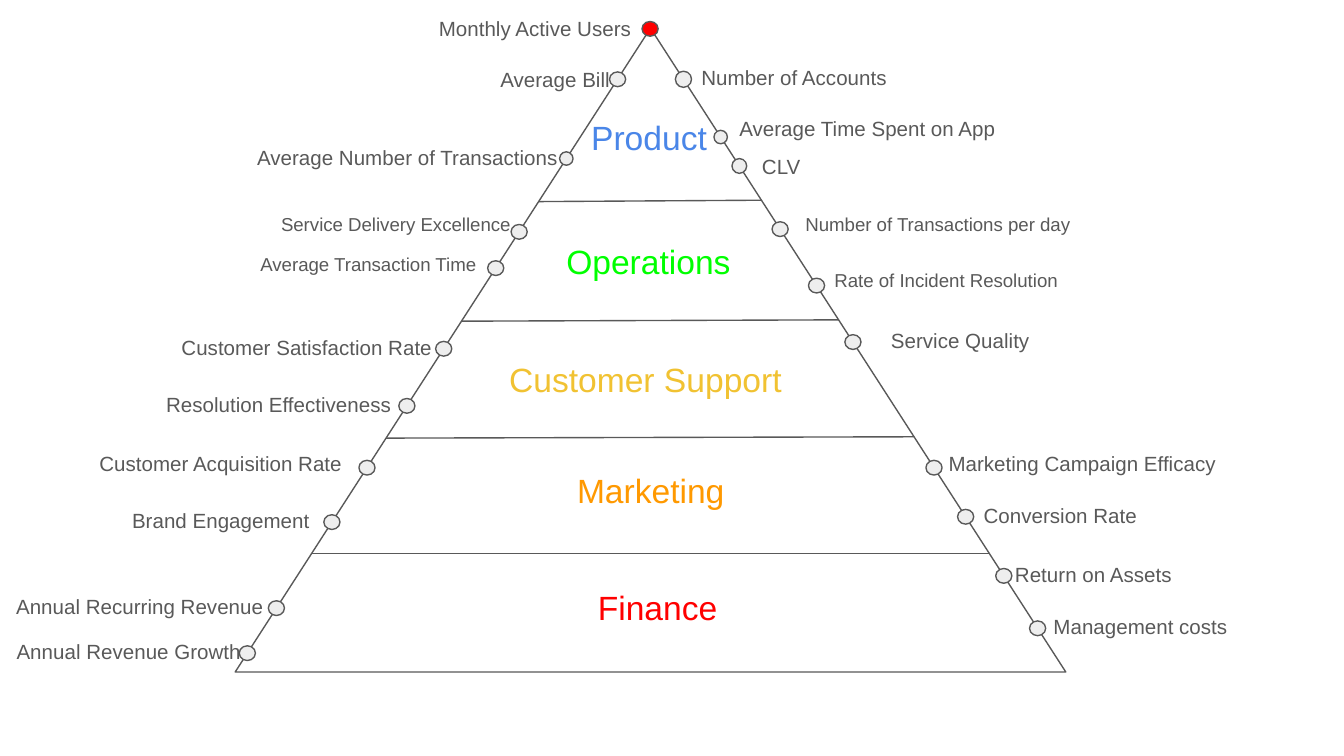
from collections import namedtuple

from lxml.etree import SubElement
from pptx import Presentation
from pptx.dml.color import RGBColor
from pptx.enum.shapes import MSO_CONNECTOR as Connector, MSO_SHAPE as Preset
from pptx.enum.text import MSO_AUTO_SIZE as AutoSize
from pptx.oxml.ns import qn
from pptx.util import Inches, Pt

COLUMNS, ROWS = 1000, 562.5
WIDTH = Inches(10)
HEIGHT = WIDTH * 9 // 16
FONT = "Arial"
COLORS = {
    "paper": "FFFFFF", "ink": "595959", "dot": "EEEEEE", "peak": "FF0000",
    "product": "4A86E8", "operations": "00FF00", "support": "F1C232",
    "marketing": "FF9900", "finance": "FF0000",
}

Box = namedtuple("Box", "left top width height")
Metric = namedtuple("Metric", "text level width gap shift dot color",
                    defaults=((12, 11), "dot"))
Band = namedtuple("Band", "name color level width offset base size left right")

BANDS = [
    Band("Product", "product", 81, 109, 0.5, (129, 128), 11,
         [Metric("Monthly Active Users", 0.5, 169, -2, 1, color="peak"),
          Metric("Average Bill", 38, 106, -9, 1),
          Metric("Average Number of Transactions", 97, 246, -6, 0.5, (10, 10))],
         [Metric("Number of Accounts", 38, 162, 3.5, -0.5, (12, 12)),
          Metric("Average Time Spent on App", 81, 429, 4, -5.5, (10, 10)),
          Metric("CLV", 102.5, 57, 7, 1, (11, 11))]),
    Band("Operations", "operations", 173, 145, 0, (218, 217), 10,
         [Metric("Service Delivery Excellence", 151.5, 212, -25, -4),
          Metric("Average Transaction Time", 178.5, 209, -24, -1)],
         [Metric("Number of Transactions per day", 149.5, 243, 9, -2),
          Metric("Rate of Incident Resolution", 191.5, 190, 3.5, -2)]),
    Band("Customer Support", "support", 261, 233, 1.5, (305, 304), 11,
         [Metric("Customer Satisfaction Rate", 238.5, 212, -7, 0),
          Metric("Resolution Effectiveness", 281, 190, -1, 0)],
         [Metric("Service Quality", 233.5, 190, 18.5, 0)]),
    Band("Marketing", "marketing", 344, 131, 1, (391, 391), 11,
         [Metric("Customer Acquisition Rate", 327, 202, 7, -2.5),
          Metric("Brand Engagement", 367.5, 152, 6.5, 0)],
         [Metric("Marketing Campaign Efficacy", 327, 304, 1, -2.5),
          Metric("Conversion Rate", 363.5, 272, 3.5, 0)]),
    Band("Finance", "finance", 431, 109, 5.5, None, 11,
         [Metric("Annual Recurring Revenue", 431.5, 209, -5.5, 0),
          Metric("Annual Revenue Growth", 465, 190, -8.5, 0)],
         [Metric("Return on Assets", 407.5, 237, -1.5, 0),
          Metric("Management costs", 446.5, 233, 2, 0)]),
]


def rgb(name):
    return RGBColor.from_string(COLORS[name])


def col(count):
    return round(WIDTH * count / COLUMNS)


def row(count):
    return round(HEIGHT * count / ROWS)


def on_page(box):
    return col(box.left), row(box.top), col(box.width), row(box.height)


def centred(x, y, width, height):
    return Box(x - width / 2, y - height / 2, width, height)


def edge(box, level, side):
    return box.left + box.width / 2 + side * box.width / 2 * level / box.height


def add_text(page, box, text, size, color):
    frame = page.shapes.add_textbox(*on_page(box)).text_frame
    frame.word_wrap = True
    frame.auto_size = AutoSize.SHAPE_TO_FIT_TEXT
    frame.margin_left = frame.margin_right = Inches(0.1)
    frame.margin_top = frame.margin_bottom = Inches(0.1)
    span = frame.paragraphs[0].add_run()
    span.text = text
    span.font.name = FONT
    span.font.size = Pt(size)
    span.font.color.rgb = rgb(color)


def add_outlined(page, preset, box, fill):
    shape = page.shapes.add_shape(preset, *on_page(box))
    shape.shadow.inherit = False
    shape.fill.solid()
    shape.fill.fore_color.rgb = rgb(fill)
    shape.line.color.rgb = rgb("ink")
    shape.line.width = Pt(0.75)


def add_divider(page, box, base):
    start, end = base
    line = page.shapes.add_connector(
        Connector.STRAIGHT,
        col(edge(box, start, -1)), row(box.top + start),
        col(edge(box, end, 1)), row(box.top + end))
    line.line.color.rgb = rgb("ink")
    line.line.width = Pt(0.75)
    SubElement(line._element.spPr, qn("a:effectLst"))


def add_metric(page, box, metric, side, size):
    x = edge(box, metric.level, side)
    y = box.top + metric.level
    add_outlined(page, Preset.OVAL, centred(x, y, *metric.dot), metric.color)
    middle = x + side * (metric.gap + metric.width / 2)
    height = 39 if size == 11 else 37
    label = centred(middle, y + metric.shift, metric.width, height)
    add_text(page, label, metric.text, size, "ink")


def add_band(page, box, band):
    if band.base:
        add_divider(page, box, band.base)
    axis = box.left + box.width / 2 + band.offset
    title = centred(axis, box.top + band.level, band.width, 50)
    add_text(page, title, band.name, 18, band.color)
    for side, metrics in ((-1, band.left), (1, band.right)):
        for metric in metrics:
            add_metric(page, box, metric, side, band.size)


def add_pyramid(page, box, bands):
    add_outlined(page, Preset.ISOSCELES_TRIANGLE, box, "paper")
    for band in bands:
        add_band(page, box, band)


def main():
    deck = Presentation()
    deck.slide_width, deck.slide_height = WIDTH, HEIGHT
    page = deck.slides.add_slide(deck.slide_layouts[6])
    add_pyramid(page, Box(175, 21, 618, 479), BANDS)
    deck.save("out.pptx")


if __name__ == "__main__":
    main()
